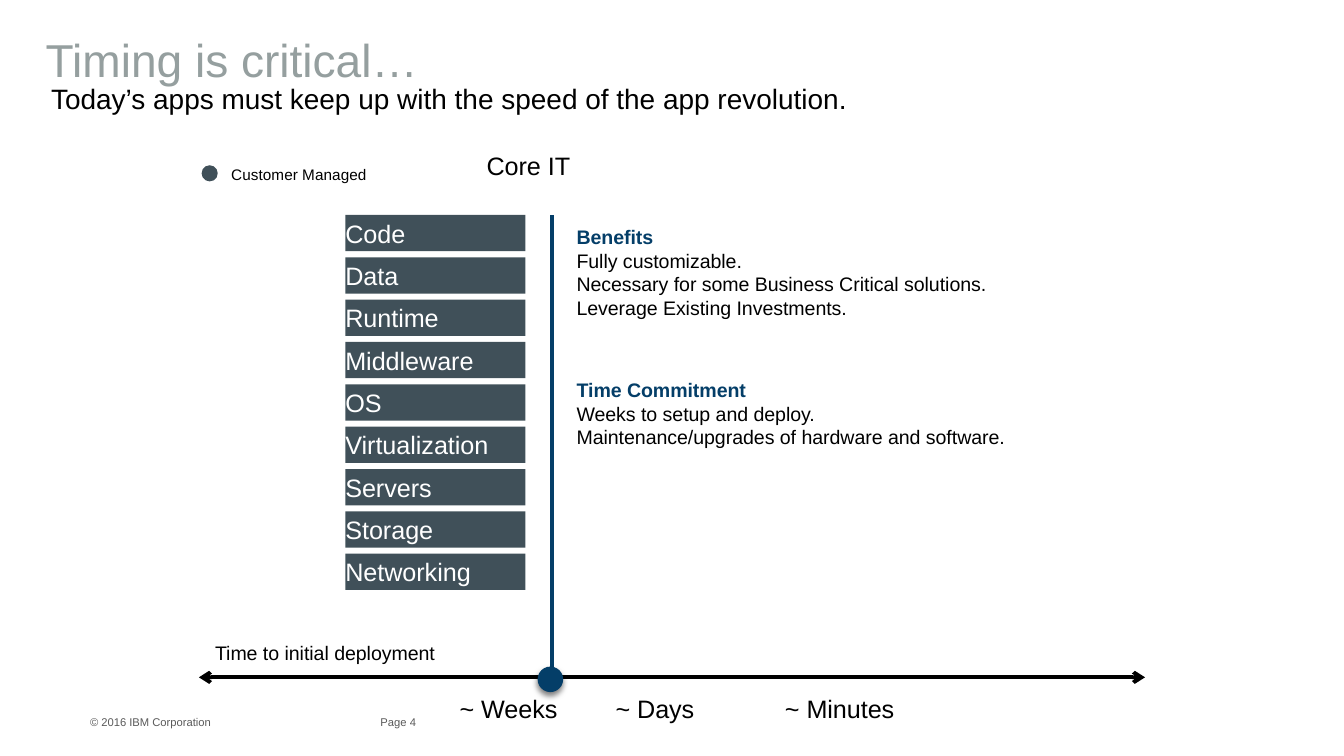
from dataclasses import dataclass

from lxml import etree
from pptx import Presentation
from pptx.dml.color import RGBColor
from pptx.enum.shapes import MSO_CONNECTOR, MSO_SHAPE
from pptx.enum.text import MSO_ANCHOR, PP_ALIGN
from pptx.oxml.ns import qn
from pptx.util import Inches, Pt

RECTANGLE, OVAL = MSO_SHAPE.RECTANGLE, MSO_SHAPE.OVAL
STRAIGHT = MSO_CONNECTOR.STRAIGHT
TOP, MIDDLE = MSO_ANCHOR.TOP, MSO_ANCHOR.MIDDLE
LEFT = PP_ALIGN.LEFT


@dataclass(frozen=True)
class Theme:
    font: str = "Arial"
    black: RGBColor = RGBColor.from_string("000000")
    white: RGBColor = RGBColor.from_string("FFFFFF")
    navy: RGBColor = RGBColor.from_string("043E68")
    slate: RGBColor = RGBColor.from_string("405059")
    title_gray: RGBColor = RGBColor.from_string("959F9F")
    footer_gray: RGBColor = RGBColor.from_string("5A5A5A")
    title: float = 24.75
    subtitle: float = 15
    label: float = 13.5
    body: float = 10.5
    legend: float = 8.25
    footer: float = 6


theme = Theme()


def add_filled(shapes, kind, box, color):
    shape = shapes.add_shape(kind, *map(Inches, box))
    shape.fill.solid()
    shape.fill.fore_color.rgb = color
    shape.line.fill.background()
    shape.shadow.inherit = False
    return shape


def write(shape, text, size, color=theme.black, anchor=TOP, inset=0):
    frame = shape.text_frame
    frame.word_wrap = True
    frame.vertical_anchor = anchor
    frame.margin_left = frame.margin_right = Inches(inset)
    frame.margin_top = frame.margin_bottom = Inches(inset)
    frame.text = text
    for paragraph in frame.paragraphs:
        paragraph.alignment = LEFT
        for run in paragraph.runs:
            run.font.name = theme.font
            run.font.size = Pt(size)
            run.font.color.rgb = color
    return frame


presentation = Presentation()
presentation.slide_width = Inches(10)
presentation.slide_height = Inches(10) * 9 // 16
slide = presentation.slides.add_slide(presentation.slide_layouts[6])
shapes = slide.shapes

footer = [(3.05, 0.34, "4"), (2.83, 0.22, "Page"), (0.67, 1.3, "© 2016 IBM Corporation")]
for left, width, text in footer:
    textbox = shapes.add_textbox(Inches(left), Inches(5.32), Inches(width), Inches(0.1))
    write(textbox, text, theme.footer, theme.footer_gray)

core_heading = add_filled(shapes, RECTANGLE, (3.62, 0.95, 1.22, 0.56), theme.white)
write(core_heading, "Core IT", theme.label, anchor=MIDDLE)

subtitle = shapes.add_textbox(Inches(0.35), Inches(0.58), Inches(6.55), Inches(0.31))
write(subtitle, "Today’s apps must keep up with the speed of the app revolution.",
      theme.subtitle, anchor=MIDDLE, inset=0.03)

title = shapes.add_textbox(Inches(0.34), Inches(0.23), Inches(6.78), Inches(0.42))
title_frame = write(title, "Timing is critical…", theme.title, theme.title_gray)
title_frame.paragraphs[0].line_spacing = Pt(30)

details = [
    (1.67, 3.24, 0.71, ["Benefits", "Fully customizable.",
                        "Necessary for some Business Critical solutions.",
                        "Leverage Existing Investments."]),
    (2.6, 3.39, 0.95, ["Time Commitment", "Weeks to setup and deploy.",
                       "Maintenance/upgrades of hardware and software."]),
]
for top, width, height, lines in details:
    textbox = shapes.add_textbox(Inches(4.29), Inches(top), Inches(width), Inches(height))
    frame = write(textbox, "\n".join(lines), theme.body, anchor=MIDDLE)
    heading = frame.paragraphs[0].runs[0].font
    heading.bold = True
    heading.color.rgb = theme.navy

axes = [
    ((4.11, 1.6, 4.11, 5.04), theme.navy, []),
    ((8.52, 5.04, 1.48, 5.04), theme.black, ["headEnd", "tailEnd"]),
]
for ends, color, arrowheads in axes:
    connector = shapes.add_connector(STRAIGHT, *map(Inches, ends))
    connector.line.color.rgb = color
    connector.line.width = Pt(2)
    properties = connector._element.spPr
    for arrowhead in arrowheads:
        etree.SubElement(properties.find(qn("a:ln")), qn(f"a:{arrowhead}"), type="arrow")
    etree.SubElement(properties, qn("a:effectLst"))

timeline_caption = shapes.add_textbox(Inches(1.6), Inches(4.77), Inches(1.88), Inches(0.42))
write(timeline_caption, "Time to initial deployment", theme.body)

marker = add_filled(shapes, OVAL, (4, 4.96, 0.19, 0.19), theme.navy)
effects = marker._element.spPr.find(qn("a:effectLst"))
shadow = etree.SubElement(effects, qn("a:outerShdw"), blurRad=str(Pt(3)),
                          dist=str(Pt(2)), dir="5400000", rotWithShape="0")
shadow_color = etree.SubElement(shadow, qn("a:srgbClr"), val=str(theme.black))
etree.SubElement(shadow_color, qn("a:alpha"), val="50000")

legend = shapes.add_group_shape().shapes
legend_label = legend.add_textbox(Inches(1.72), Inches(1.11), Inches(1.18), Inches(0.37))
write(legend_label, "Customer Managed", theme.legend, anchor=MIDDLE)
add_filled(legend, OVAL, (1.5, 1.23, 0.12, 0.12), theme.slate)

for left, text in [(3.42, "~ Weeks"), (4.58, "~ Days")]:
    textbox = shapes.add_textbox(Inches(left), Inches(5.16), Inches(1.32), Inches(0.42))
    write(textbox, text, theme.label)

layers = ["Code", "Data", "Runtime", "Middleware", "OS",
          "Virtualization", "Servers", "Storage", "Networking"]
stack = shapes.add_group_shape().shapes
for index, layer in enumerate(layers):
    top = 1.6 + index * 2.52 / (len(layers) - 1)
    layer_bar = add_filled(stack, RECTANGLE, (2.57, top, 1.34, 0.27), theme.slate)
    write(layer_bar, layer, theme.label, theme.white, MIDDLE)

minutes = shapes.add_textbox(Inches(5.84), Inches(5.16), Inches(1.32), Inches(0.42))
write(minutes, "~ Minutes", theme.label)

presentation.save("out.pptx")
